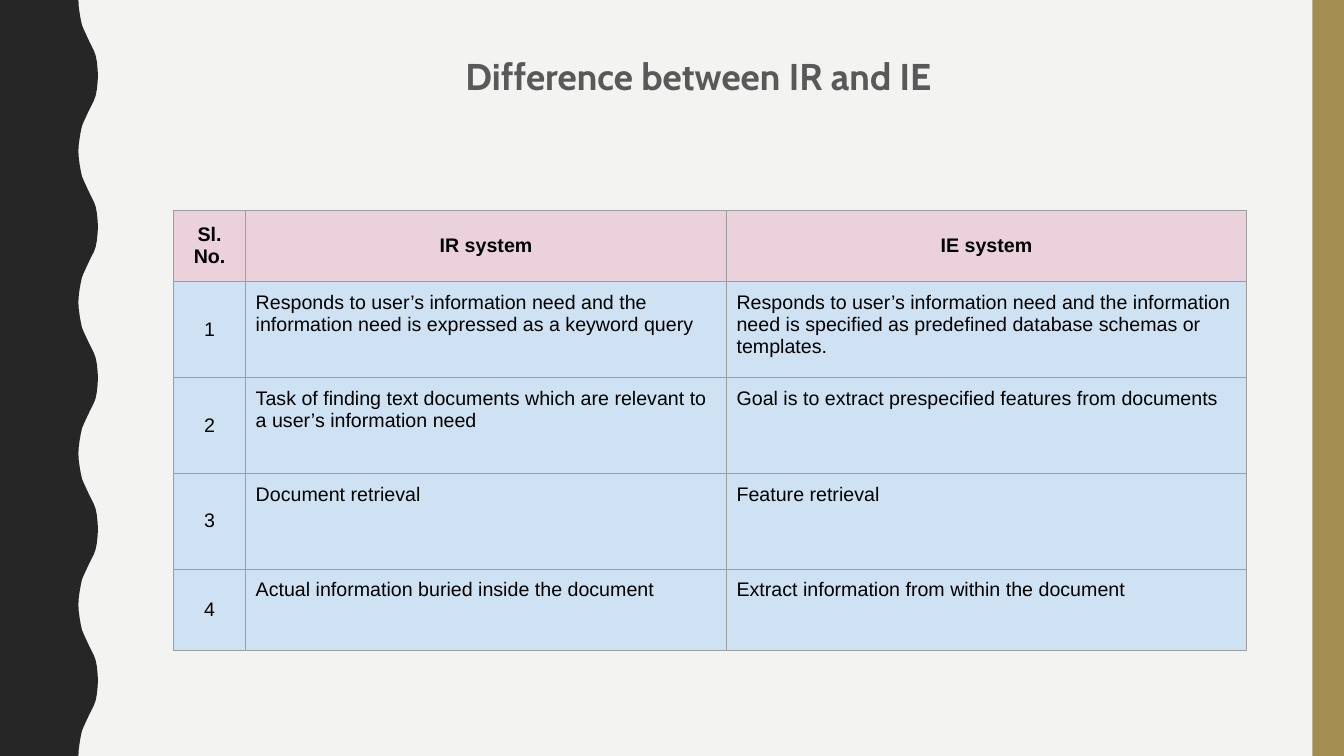
from lxml import etree
from pptx import Presentation
from pptx.dml.color import RGBColor
from pptx.enum.shapes import MSO_SHAPE
from pptx.enum.text import MSO_ANCHOR, PP_ALIGN
from pptx.oxml.ns import qn
from pptx.util import Pt

RECT = MSO_SHAPE.RECTANGLE
CENTER, LEFT = PP_ALIGN.CENTER, PP_ALIGN.LEFT
MIDDLE, TOP = MSO_ANCHOR.MIDDLE, MSO_ANCHOR.TOP

SLIDE_W, SLIDE_H = 960, 540


class Theme:
    background = "F3F3F2"
    wave = "262626"
    stripe = "A38D51"
    title = "595959"
    text = "000000"
    header_fill = "EAD1DC"
    body_fill = "CFE2F3"
    border = "9E9E9E"
    title_font, title_size = "Cabin", 26.6
    table_font, table_size = "Arial", 14
    border_width = 0.75


# Half a wave of the left edge, as (x, y) from trough to crest
HALF_WAVE = [(56, 0), (56.3, 5), (57, 10), (57.8, 14.5), (58.6, 18),
             (59.8, 21), (61.2, 24), (62.6, 27), (64, 30), (65.5, 33),
             (67, 36), (68.3, 39.5), (69.2, 44), (69.7, 49), (70, 54)]
WAVE_PERIOD = 108

COLUMN_WIDTHS = [51.5, 343.5, 371.5]
ROW_HEIGHTS = [51, 68.5, 68.5, 68.5, 58]
ROWS = [
    ("Sl. No.", "IR system", "IE system"),
    ("1",
     "Responds to user’s information need and the information need is "
     "expressed as a keyword query",
     "Responds to user’s information need and the information need is "
     "specified as predefined database schemas or templates."),
    ("2",
     "Task of finding text documents which are relevant to a user’s "
     "information need",
     "Goal is to extract prespecified features from documents"),
    ("3", "Document retrieval", "Feature retrieval"),
    ("4", "Actual information buried inside the document",
     "Extract information from within the document"),
]


def rgb(value):
    return RGBColor.from_string(value)


def paint(sp, color):
    sp.shadow.inherit = False
    sp.fill.solid()
    sp.fill.fore_color.rgb = rgb(color)
    sp.line.fill.background()


def style_text(p, font, size, color, bold, align):
    p.alignment = align
    for r in p.runs:
        r.font.name = font
        r.font.size = Pt(size)
        r.font.bold = bold
        r.font.color.rgb = rgb(color)


def add_wave(s):
    falling = [(x, WAVE_PERIOD - y) for x, y in reversed(HALF_WAVE[:-1])]
    edge = [(x, top + y) for top in range(0, SLIDE_H, WAVE_PERIOD)
            for x, y in HALF_WAVE + falling]
    points = [(Pt(x), Pt(y)) for x, y in edge + [(0, SLIDE_H)]]
    builder = s.shapes.build_freeform(0, 0)
    builder.add_line_segments(points, close=True)
    paint(builder.convert_to_shape(), Theme.wave)


def add_stripe(s):
    left = 937.5
    sp = s.shapes.add_shape(RECT, Pt(left), 0, Pt(SLIDE_W - left), Pt(SLIDE_H))
    paint(sp, Theme.stripe)


def set_title(s, text):
    sp = s.shapes.title
    sp.left, sp.top, sp.width, sp.height = Pt(98.6), Pt(30.5), Pt(801), Pt(44.5)
    tf = sp.text_frame
    tf.text = text
    tf.vertical_anchor = MIDDLE
    p = tf.paragraphs[0]
    p.line_spacing = 1.1
    p.space_before = Pt(0)
    style_text(p, Theme.title_font, Theme.title_size, Theme.title, True, CENTER)


def set_borders(cell):
    tcPr = cell._tc.get_or_add_tcPr()
    for i, side in enumerate(("a:lnL", "a:lnR", "a:lnT", "a:lnB")):
        ln = etree.Element(qn(side), w=str(Pt(Theme.border_width)))
        fill = etree.SubElement(ln, qn("a:solidFill"))
        etree.SubElement(fill, qn("a:srgbClr"), val=Theme.border)
        tcPr.insert(i, ln)


def fill_cell(cell, text, header, centered):
    cell.text = text
    cell.margin_left = cell.margin_right = Pt(7.2)
    cell.margin_top = cell.margin_bottom = Pt(7.2)
    cell.vertical_anchor = MIDDLE if centered else TOP
    cell.fill.solid()
    cell.fill.fore_color.rgb = rgb(
        Theme.header_fill if header else Theme.body_fill)
    set_borders(cell)
    style_text(cell.text_frame.paragraphs[0], Theme.table_font,
               Theme.table_size, Theme.text, header,
               CENTER if centered else LEFT)


def add_comparison_table(s):
    frame = s.shapes.add_table(
        len(ROWS), len(COLUMN_WIDTHS), Pt(124), Pt(150),
        Pt(sum(COLUMN_WIDTHS)), Pt(sum(ROW_HEIGHTS)))
    table = frame.table
    table.horz_banding = False
    for column, width in zip(table.columns, COLUMN_WIDTHS):
        column.width = Pt(width)
    for i, (row, height) in enumerate(zip(table.rows, ROW_HEIGHTS)):
        row.height = Pt(height)
        for j, text in enumerate(ROWS[i]):
            fill_cell(table.cell(i, j), text, i == 0, i == 0 or j == 0)


def main():
    prs = Presentation()
    prs.slide_width, prs.slide_height = Pt(SLIDE_W), Pt(SLIDE_H)
    s = prs.slides.add_slide(prs.slide_layouts.get_by_name("Title Only"))
    s.background.fill.solid()
    s.background.fill.fore_color.rgb = rgb(Theme.background)

    # Side decoration
    add_wave(s)
    add_stripe(s)

    # Content
    set_title(s, "Difference between IR and IE")
    add_comparison_table(s)
    prs.save("out.pptx")


if __name__ == "__main__":
    main()
